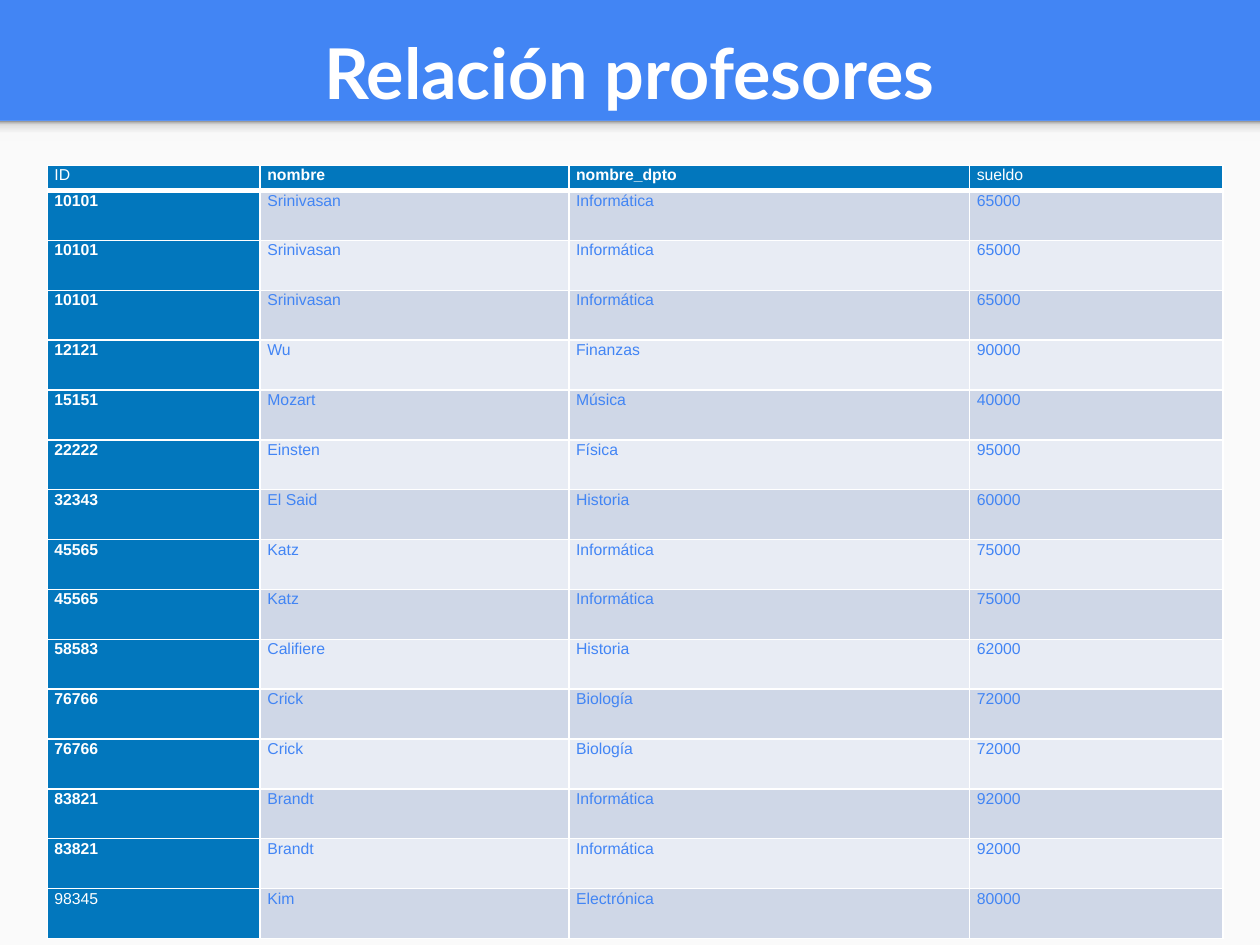
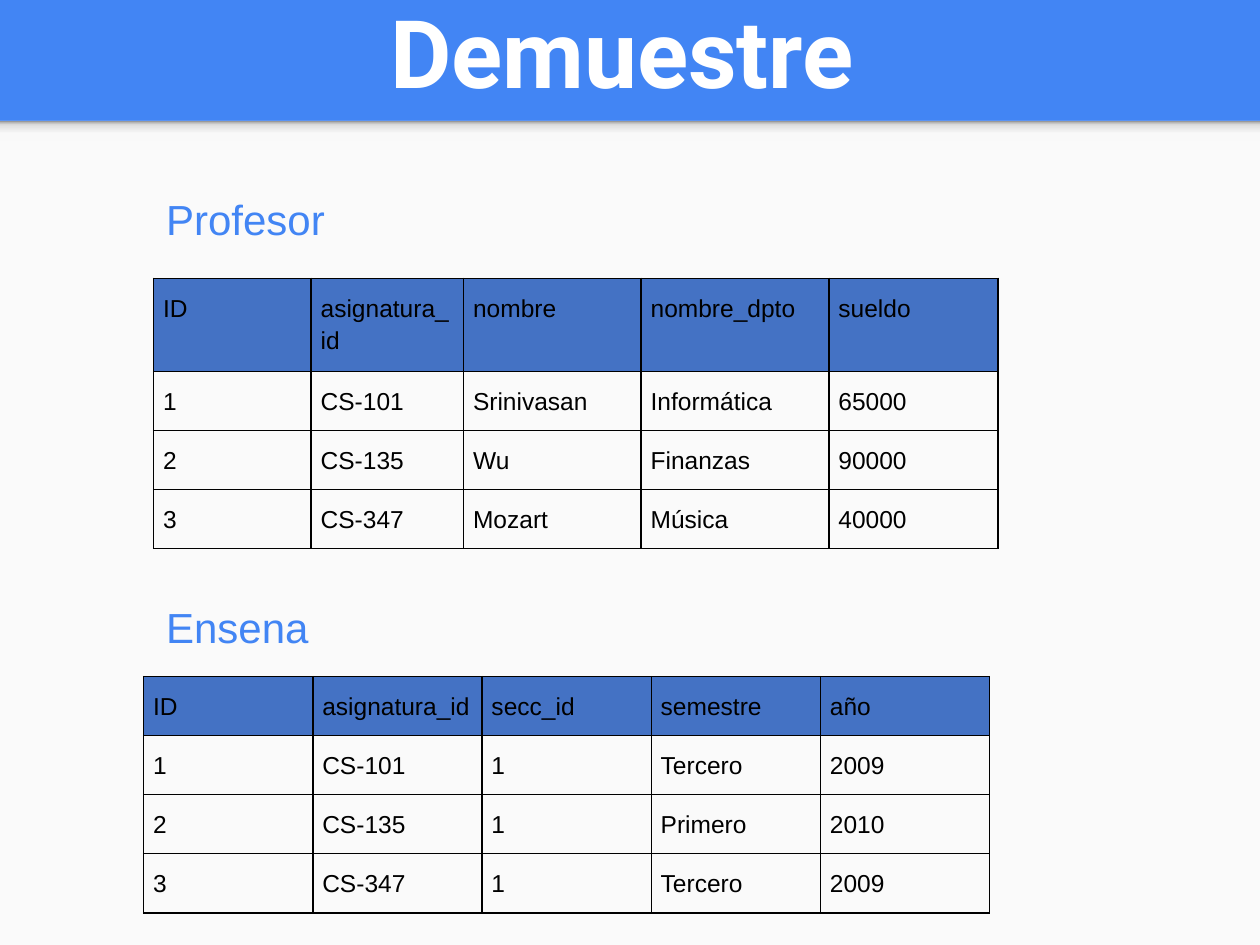
from copy import deepcopy
from lxml.etree import SubElement as Sub
from pptx import Presentation
from pptx.dml.color import RGBColor as RGB
from pptx.enum.shapes import MSO_SHAPE as Geo
from pptx.enum.text import MSO_ANCHOR as Anchor, PP_ALIGN as Align
from pptx.oxml import parse_xml as to_xml
from pptx.oxml.ns import nsdecls, qn
from pptx.util import Pt

BLUE = RGB(0x42, 0x85, 0xF4)
PAPER = RGB(0xFA, 0xFA, 0xFA)
WHITE = RGB(0xFF, 0xFF, 0xFF)
BLACK = RGB(0, 0, 0)
DEEP = RGB(0x02, 0x77, 0xBD)
DARK = RGB(0xCF, 0xD7, 0xE7)
LIGHT = RGB(0xE8, 0xEC, 0xF4)
HEAD = RGB(0x44, 0x72, 0xC4)
SHADE = [(0, "F9F9F9"), (36, "F9F9F9"), (80, "DEDEDE"), (100, "999999")]

STAFF = [
    ("ID", "nombre", "nombre_dpto", "sueldo"),
    ("10101", "Srinivasan", "Informática", "65000"),
    ("10101", "Srinivasan", "Informática", "65000"),
    ("10101", "Srinivasan", "Informática", "65000"),
    ("12121", "Wu", "Finanzas", "90000"),
    ("15151", "Mozart", "Música", "40000"),
    ("22222", "Einsten", "Física", "95000"),
    ("32343", "El Said", "Historia", "60000"),
    ("45565", "Katz", "Informática", "75000"),
    ("45565", "Katz", "Informática", "75000"),
    ("58583", "Califiere", "Historia", "62000"),
    ("76766", "Crick", "Biología", "72000"),
    ("76766", "Crick", "Biología", "72000"),
    ("83821", "Brandt", "Informática", "92000"),
    ("83821", "Brandt", "Informática", "92000"),
    ("98345", "Kim", "Electrónica", "80000"),
]
TUTORS = [
    ("ID", "asignatura_id", "nombre", "nombre_dpto", "sueldo"),
    ("1", "CS-101", "Srinivasan", "Informática", "65000"),
    ("2", "CS-135", "Wu", "Finanzas", "90000"),
    ("3", "CS-347", "Mozart", "Música", "40000"),
]
COURSES = [
    ("ID", "asignatura_id", "secc_id", "semestre", "año"),
    ("1", "CS-101", "1", "Tercero", "2009"),
    ("2", "CS-135", "1", "Primero", "2010"),
    ("3", "CS-347", "1", "Tercero", "2009"),
]


def staff_look(row, col):
    """Fill, text colour and weight; the corner cells stay regular."""
    last = len(STAFF) - 1
    if row == 0:
        return DEEP, WHITE, col in (1, 2)
    if col == 0:
        return DEEP, WHITE, row < last
    return (DARK if row % 2 else LIGHT), BLUE, False


def plain_look(row, col):
    return (None if row else HEAD), BLACK, False


class Deck:
    def __init__(self):
        self.prs = Presentation()
        self.prs.slide_width, self.prs.slide_height = Pt(720), Pt(540)
        self.slide = None

    def page(self):
        self.slide = self.prs.slides.add_slide(self.prs.slide_layouts[6])
        back = self.slide.background.fill
        back.solid()
        back.fore_color.rgb = BLUE
        body = self.rect(69.12, 470.88).fill
        body.solid()
        body.fore_color.rgb = PAPER
        self.shade(self.rect(69.12, 11.5))

    def rect(self, top, high):
        box = self.slide.shapes.add_shape(
            Geo.RECTANGLE, 0, Pt(top), Pt(720), Pt(high))
        box.shadow.inherit = False
        box.line.fill.background()
        return box

    def shade(self, box):
        """Fade upwards from the paper to grey."""
        box.fill.gradient()
        box.fill.gradient_angle = 90
        box.fill.gradient_stops[0].color.rgb = PAPER
        stops = box.element.find(".//" + qn("a:gsLst"))
        base = deepcopy(stops[0])
        for stop in list(stops):
            stops.remove(stop)
        for pos, tone in SHADE:
            stop = deepcopy(base)
            stop.set("pos", str(pos * 1000))
            stop[0].set("val", tone)
            stops.append(stop)

    def put(self, par, text, font, size, color, bold=False, space=None):
        if space:
            par.line_spacing = space
        run = par.add_run()
        run.text = text
        run.font.name, run.font.size = font, Pt(size)
        run.font.bold, run.font.color.rgb = bold, color

    def text(self, x, y, wide, high, pad, anchor, align, *style):
        box = self.slide.shapes.add_textbox(Pt(x), Pt(y), Pt(wide), Pt(high))
        frame = box.text_frame
        frame.word_wrap = True
        frame.vertical_anchor = anchor
        frame.margin_left = frame.margin_right = Pt(7.2)
        frame.margin_top = frame.margin_bottom = Pt(pad)
        par = frame.paragraphs[0]
        par.alignment = align
        self.put(par, *style)

    def title(self, text, x, y, font, size):
        self.text(x, y, 694.8, 63.36, 3.6, Anchor.BOTTOM, Align.CENTER,
                  text, font, size, WHITE, True)

    def label(self, text, y, wide):
        self.text(87.84, y, wide, 43.92, 7.2, Anchor.MIDDLE, Align.JUSTIFY,
                  text, "Arial", 24, BLUE, False, 1.15)

    def edge(self, cell, color, low):
        """Draw the four borders; low is the width of the bottom one."""
        props = cell._tc.get_or_add_tcPr()
        for spot, side in enumerate("LRTB"):
            wide = Pt(low if side == "B" else 1)
            line = to_xml(f'<a:ln{side} {nsdecls("a")} w="{wide}"/>')
            fill = Sub(line, qn("a:solidFill"))
            Sub(fill, qn("a:srgbClr"), val=str(color))
            props.insert(spot, line)

    def table(self, x, y, cols, highs, data, look, size, space, pads,
              rule, low=1):
        """Pads are the side and top margins; low is the header's rule."""
        grid = self.slide.shapes.add_table(
            len(data), len(cols), Pt(x), Pt(y),
            Pt(sum(cols)), Pt(sum(highs))).table
        grid.first_row = grid.horz_banding = False
        for col, wide in zip(grid.columns, cols):
            col.width = Pt(wide)
        for r, (row, high) in enumerate(zip(data, highs)):
            grid.rows[r].height = Pt(high)
            for c, text in enumerate(row):
                cell = grid.cell(r, c)
                fill, color, bold = look(r, c)
                if fill is None:
                    cell.fill.background()
                else:
                    cell.fill.solid()
                    cell.fill.fore_color.rgb = fill
                cell.margin_left = cell.margin_right = Pt(pads[0])
                cell.margin_top = cell.margin_bottom = Pt(pads[1])
                self.put(cell.text_frame.paragraphs[0], text, "Arial",
                         size, color, bold, space)
                self.edge(cell, rule, 1 if r else low)

    def plain(self, x, y, cols, highs, data):
        self.table(x, y, cols, highs, data, plain_look, 14, 1.15,
                   (5.4, 7.2), BLACK)


def main():
    deck = Deck()

    deck.page()
    deck.title("Relación profesores", 12.24, 5.04, "Lato", 40)
    deck.table(27, 94.5, [121.7, 176.4, 229, 144.7], [14.4] + [28.5] * 15,
               STAFF, staff_look, 9, 1.07, (4.1, 0), WHITE, 3)

    deck.page()
    deck.title("Demuestre", 7.92, 1.44, "Roboto", 54)
    deck.plain(87.84, 159.12, [90, 87.1, 101.5, 107.3, 96.5],
               [50.5] + [32.4] * 3, TUTORS)
    deck.plain(82.08, 386.64, [96.7] * 5, [32.4] * 4, COURSES)
    deck.label("Profesor", 100.8, 111.6)
    deck.label("Ensena", 334.08, 101.52)

    deck.prs.save("out.pptx")


if __name__ == "__main__":
    main()
